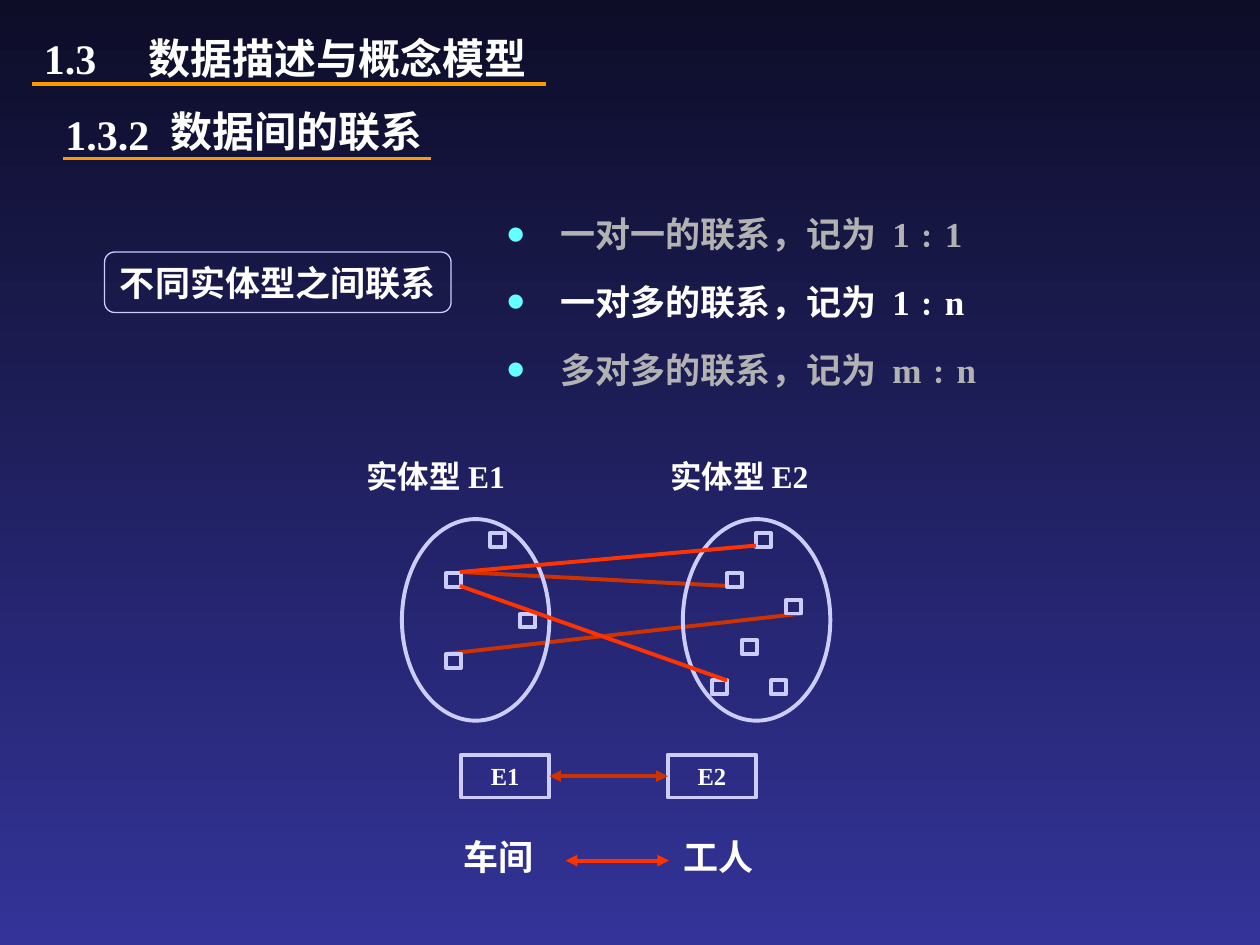
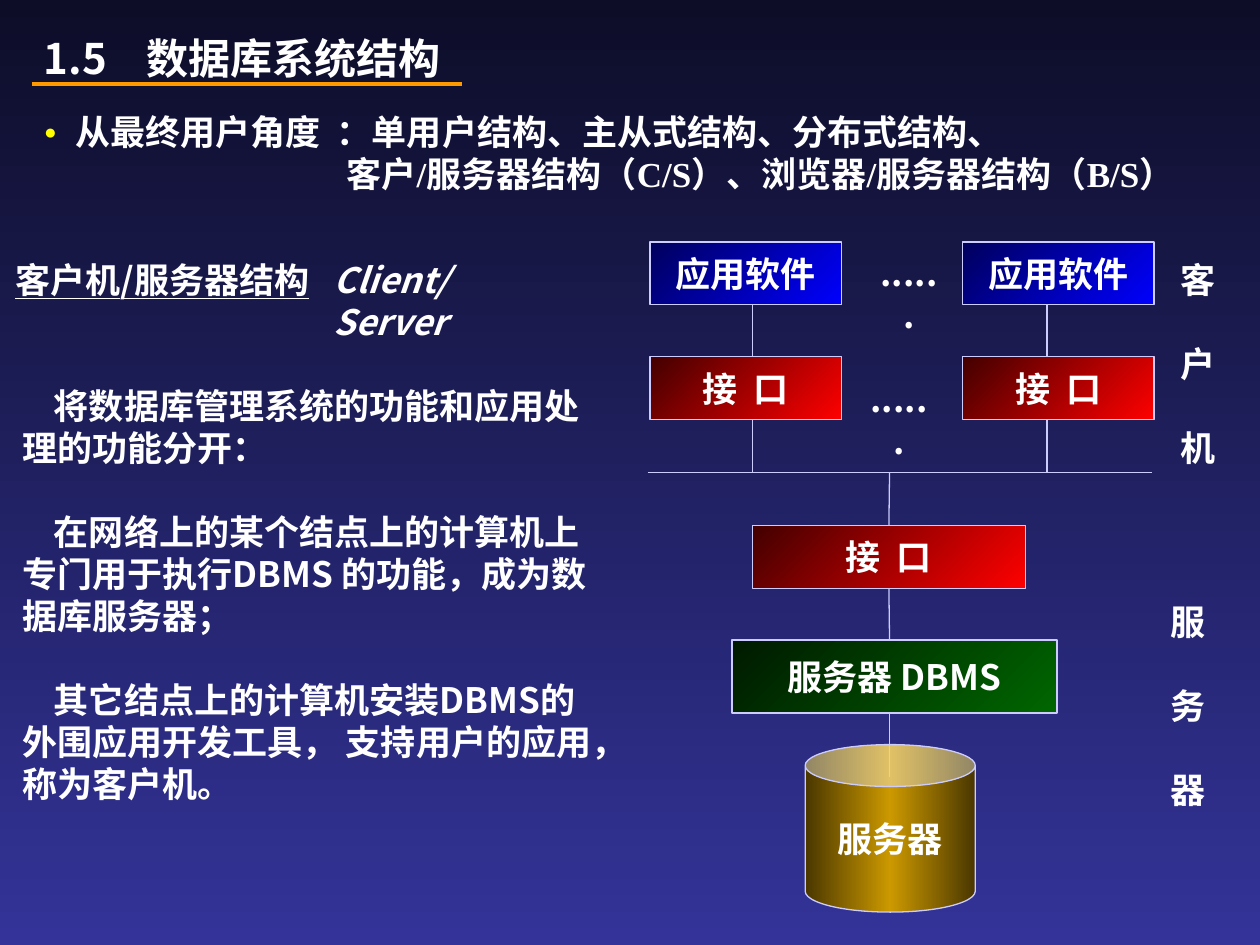
"""Build two database course slides: entity relationships and client/server structure."""
from dataclasses import dataclass

import pptx
import pptx.dml.color
import pptx.enum.shapes
import pptx.enum.text
import pptx.oxml.ns
import pptx.oxml.xmlchemy
import pptx.util
from lxml import etree

Inches = pptx.util.Inches
Pt = pptx.util.Pt
qn = pptx.oxml.ns.qn
SHAPE = pptx.enum.shapes.MSO_SHAPE
ALIGN = pptx.enum.text.PP_ALIGN
ANCHOR = pptx.enum.text.MSO_ANCHOR


@dataclass(frozen=True)
class Theme:
    """Colours, fonts and sizes used by both slides."""
    white: str = "FFFFFF"
    muted: str = "B2B2B2"
    outline: str = "CCCCFF"
    rule: str = "FF9900"
    link_dark: str = "CC3300"
    link_bright: str = "FF3300"
    cyan: str = "66FFFF"
    yellow: str = "FFFF00"
    background: tuple = ("0D0D28", "333399")
    red: tuple = ("430000", "FF0000")
    blue: tuple = ("00005C", "0000FF")
    green: tuple = ("001A00", "006600")
    gold: tuple = ("4A3700", "CC9900", "4A3700")
    serif: str = "Times New Roman"
    sans: str = "Noto Sans CJK SC"
    heading: int = 24
    body: int = 20
    label: int = 18
    small: int = 14
    leading: float = 1.2
    thick: float = 2.25
    thin: float = 0.75


THEME = Theme()

RELATIONS = [
    ("一对一的联系，记为  1﹕1", THEME.muted),
    ("一对多的联系，记为  1﹕n", THEME.white),
    ("多对多的联系，记为  m﹕n", THEME.muted),
]
ENTITIES = [
    {"label": "实体型 E1", "label_left": 2.81, "oval_left": 3.19, "box": "E1", "box_left": 3.66,
     "example": "车间", "example_left": 3.58,
     "members": [(3.89, 4.23), (3.54, 4.55), (4.13, 4.87), (3.54, 5.19)]},
    {"label": "实体型 E2", "label_left": 5.22, "oval_left": 5.42, "box": "E2", "box_left": 5.3,
     "example": "工人", "example_left": 5.33,
     "members": [(5.77, 4.55), (5.89, 5.08), (6.24, 4.76), (6.12, 5.4), (5.65, 5.4), (6, 4.23)]},
]
DARK_LINKS = [((5.77, 4.65), (3.65, 4.54)), ((6.36, 4.87), (3.54, 5.19))]
BRIGHT_LINKS = [((3.65, 4.54), (6, 4.33)), ((3.65, 4.65), (5.77, 5.4))]

USER_VIEW = ["从最终用户角度  ：单用户结构、主从式结构、分布式结构、",
             "客户/服务器结构（C/S）、浏览器/服务器结构（B/S）"]
EXPLANATION = [
    "将数据库管理系统的功能和应用处理的功能分开：",
    "在网络上的某个结点上的计算机上专门用于执行DBMS 的功能，成为数据库服务器；",
    "其它结点上的计算机安装DBMS的外围应用开发工具， 支持用户的应用，称为客户机。",
]
CLIENT_LEFTS = (5.16, 7.64)
CLIENT_LAYERS = [("应用软件", 1.92, THEME.blue), ("接  口", 2.83, THEME.red)]
CLIENT_LINE_XS = (5.97, 8.31)
ELLIPSES = [(6.88, 1.95), (6.8, 2.95)]
SIDE_LABELS = [("客户机", 9.27, 2), ("服务器", 9.19, 4.72)]
BUS_Y = 3.75
SERVER_X = 7.06


def rgb(value):
    """Turn a hex string into a colour."""
    return pptx.dml.color.RGBColor.from_string(value)


def paint_gradient(fill, element, colors, angle):
    """Fill with evenly spaced colours at a clockwise angle."""
    fill.gradient()
    fill.gradient_angle = 360 - angle
    stops = next(element.iter(qn("a:gsLst")))
    for stop in list(stops):
        stops.remove(stop)
    for index, color in enumerate(colors):
        position = round(100000 * index / (len(colors) - 1))
        stop = etree.SubElement(stops, qn("a:gs"), pos=str(position))
        etree.SubElement(stop, qn("a:srgbClr"), val=color)


def write_paragraph(frame, index, text, size=THEME.body, color=THEME.white, font=THEME.sans,
                    align=ALIGN.LEFT, before=0, leading=THEME.leading, italic=False,
                    underline=False, margin=0, indent=0, bullet=None):
    """Write one paragraph as a single formatted run, with an optional bullet."""
    paragraph = frame.paragraphs[0] if index == 0 else frame.add_paragraph()
    paragraph.alignment = align
    paragraph.line_spacing = Pt(round(size * leading, 1))
    paragraph.space_before = Pt(before if index else 0)
    properties = paragraph._p.get_or_add_pPr()
    properties.set("marL", str(Inches(margin)))
    properties.set("indent", str(Inches(indent)))
    if bullet:
        character, bullet_color, percent = bullet
        holder = etree.SubElement(properties, qn("a:buClr"))
        etree.SubElement(holder, qn("a:srgbClr"), val=bullet_color)
        etree.SubElement(properties, qn("a:buSzPct"), val=str(percent * 1000))
        etree.SubElement(properties, qn("a:buChar"), char=character)
    else:
        etree.SubElement(properties, qn("a:buNone"))
    run = paragraph.add_run()
    run.text = text
    run.font.size = Pt(size)
    run.font.bold = True
    run.font.italic = italic
    run.font.underline = underline
    run.font.color.rgb = rgb(color)
    run.font.name = font
    east_asian = etree.Element(qn("a:ea"), typeface=THEME.sans)
    run._r.rPr.find(qn("a:latin")).addnext(east_asian)


def prepare_frame(shape, wrap=True, anchor=ANCHOR.TOP):
    """Set wrapping, anchoring and no automatic sizing."""
    frame = shape.text_frame
    frame.word_wrap = wrap
    frame.auto_size = pptx.enum.text.MSO_AUTO_SIZE.NONE
    frame.vertical_anchor = anchor
    return frame


def place(shape, left, top, width, height):
    """Move and size a shape in inches."""
    shape.left, shape.top = Inches(left), Inches(top)
    shape.width, shape.height = Inches(width), Inches(height)


def add_text(slide, box, paragraphs, wrap=True, **style):
    """Add a text box whose paragraphs share one style."""
    shape = slide.shapes.add_textbox(*map(Inches, box))
    frame = prepare_frame(shape, wrap)
    for index, text in enumerate(paragraphs):
        write_paragraph(frame, index, text, **style)


def set_title(slide, box, text):
    """Place the title placeholder and write its text."""
    title = slide.shapes.title
    place(title, *box)
    write_paragraph(prepare_frame(title, anchor=ANCHOR.MIDDLE), 0, text, size=THEME.heading)


def add_box(slide, kind, box, text="", colors=None, angle=45, weight=THEME.thin, **style):
    """Add an outlined shape with centred text and an optional gradient."""
    shape = slide.shapes.add_shape(kind, *map(Inches, box))
    shape.shadow.inherit = False
    shape.line.color.rgb = rgb(THEME.outline)
    shape.line.width = Pt(weight)
    if colors:
        paint_gradient(shape.fill, shape._element, colors, angle)
    else:
        shape.fill.background()
    if text:
        frame = prepare_frame(shape, False, ANCHOR.MIDDLE)
        write_paragraph(frame, 0, text, align=ALIGN.CENTER, **style)
    return shape


def add_line(slide, start, end, color=THEME.outline, weight=THEME.thin, arrows=False):
    """Add a straight connector, with arrowheads at both ends if wanted."""
    connector = slide.shapes.add_connector(
        pptx.enum.shapes.MSO_CONNECTOR.STRAIGHT, *map(Inches, (*start, *end)))
    connector.line.color.rgb = rgb(color)
    connector.line.width = Pt(weight)
    properties = connector._element.spPr
    if arrows:
        for tag in ("a:headEnd", "a:tailEnd"):
            etree.SubElement(properties.find(qn("a:ln")), qn(tag), type="triangle")
    etree.SubElement(properties, qn("a:effectLst"))
    return connector


def add_chapter(slide, number, font, rule_end):
    """Add the chapter number and the rule under the chapter heading."""
    add_text(slide, (0.25, 0.21, 0.8, 0.5), [number], size=THEME.heading, font=font)
    add_line(slide, (0.25, 0.67), (rule_end, 0.67), THEME.rule, THEME.thick)


def build_relations(slide):
    """Fill the slide on relationships between entity types."""
    serif = {"font": THEME.serif}
    add_chapter(slide, "1.3", THEME.serif, 4.33)
    add_text(slide, (1.08, 0.21, 3.42, 0.5), ["数据描述与概念模型"], size=THEME.heading)
    add_text(slide, (0.42, 0.81, 0.9, 0.5), ["1.3.2"], size=THEME.heading, **serif)
    set_title(slide, (1.25, 0.79, 3.78, 0.5), "数据间的联系")
    add_line(slide, (0.5, 1.26), (3.42, 1.26), THEME.rule, 1.5)

    body = slide.placeholders[1]
    place(body, 3.92, 1.54, 4.17, 1.61)
    frame = prepare_frame(body)
    for index, (text, color) in enumerate(RELATIONS):
        write_paragraph(frame, index, text, color=color, before=7.5, leading=1.56, margin=0.43,
                        indent=-0.43, bullet=("•", THEME.cyan, 150), **serif)
    add_box(slide, SHAPE.FLOWCHART_ALTERNATE_PROCESS, (0.83, 2, 2.75, 0.48),
            "不同实体型之间联系", **serif)

    for start, end in DARK_LINKS:
        add_line(slide, start, end, THEME.link_dark, THEME.thick)
    boxes = []
    for entity in ENTITIES:
        add_text(slide, (entity["label_left"], 3.58, 1.36, 0.4), [entity["label"]], wrap=False,
                 size=THEME.label, **serif)
        add_box(slide, SHAPE.OVAL, (entity["oval_left"], 4.12, 1.17, 1.6), weight=THEME.thick)
        for left, top in entity["members"]:
            add_box(slide, SHAPE.RECTANGLE, (left, top, 0.12, 0.11), weight=THEME.thick)
        boxes.append(add_box(slide, SHAPE.RECTANGLE, (entity["box_left"], 5.99, 0.7, 0.34),
                             entity["box"], weight=THEME.thick, size=THEME.small, **serif))
        add_text(slide, (entity["example_left"], 6.58, 0.75, 0.44), [entity["example"]],
                 wrap=False, **serif)
    for start, end in BRIGHT_LINKS:
        add_line(slide, start, end, THEME.link_bright, THEME.thick)
    arrow = add_line(slide, (4.36, 6.16), (5.3, 6.16), THEME.link_dark, THEME.thick, arrows=True)
    arrow.begin_connect(boxes[0], 3)
    arrow.end_connect(boxes[1], 1)
    add_line(slide, (4.49, 6.83), (5.31, 6.83), THEME.link_bright, THEME.thick, arrows=True)


def build_client_server(slide):
    """Fill the slide on the client/server structure."""
    add_chapter(slide, "1.5", THEME.sans, 3.67)
    set_title(slide, (1.06, 0.21, 3.19, 0.5), "数据库系统结构")

    body = slide.placeholders[1]
    place(body, 0.25, 0.83, 9.75, 0.77)
    frame = prepare_frame(body)
    frame.margin_right = 0
    write_paragraph(frame, 0, USER_VIEW[0], font=THEME.serif, margin=0.25, indent=-0.25,
                    bullet=("●", THEME.yellow, 60))
    write_paragraph(frame, 1, USER_VIEW[1], font=THEME.serif, margin=2.4)

    add_text(slide, (0, 2, 2.58, 0.44), ["客户机/服务器结构"], wrap=False, align=ALIGN.CENTER,
             underline=True)
    add_text(slide, (2.55, 2, 1.3, 0.77), ["Client/Server"], italic=True)
    add_text(slide, (0.08, 3, 4.85, 3.44), EXPLANATION, indent=0.25, before=24)

    add_box(slide, SHAPE.CAN, (6.39, 5.91, 1.35, 1.33), "服务器", THEME.gold, angle=0)
    add_box(slide, SHAPE.RECTANGLE, (5.81, 5.08, 2.58, 0.58), "服务器 DBMS", THEME.green)
    interface = add_box(slide, SHAPE.RECTANGLE, (5.97, 4.17, 2.17, 0.5), "接  口", THEME.red)
    for text, top, colors in CLIENT_LAYERS:
        for left in CLIENT_LEFTS:
            add_box(slide, SHAPE.RECTANGLE, (left, top, 1.52, 0.5), text, colors)
    for left, top in ELLIPSES:
        add_text(slide, (left, top, 0.67, 0.77), ["......"], align=ALIGN.CENTER)

    add_line(slide, (5.14, BUS_Y), (9.14, BUS_Y))
    for x in CLIENT_LINE_XS:
        add_line(slide, (x, 2.42), (x, 2.83))
        add_line(slide, (x, 3.33), (x, BUS_Y))
    add_line(slide, (SERVER_X, BUS_Y), (SERVER_X, 4.17)).end_connect(interface, 0)
    add_line(slide, (SERVER_X, 4.67), (SERVER_X, 5.08)).begin_connect(interface, 2)
    add_line(slide, (SERVER_X, 5.66), (SERVER_X, 6.17))
    for text, left, top in SIDE_LABELS:
        add_text(slide, (left, top, 0.48, 1.77), list(text), wrap=False, align=ALIGN.CENTER,
                 before=24)


def main():
    """Create the presentation and save it."""
    presentation = pptx.Presentation()
    presentation.slide_width, presentation.slide_height = Inches(10), Inches(7.5)
    master = presentation.slide_master
    paint_gradient(master.background.fill, master._element, THEME.background, 90)
    for build in (build_relations, build_client_server):
        build(presentation.slides.add_slide(presentation.slide_layouts[1]))
    presentation.save("out.pptx")


if __name__ == "__main__":
    main()
